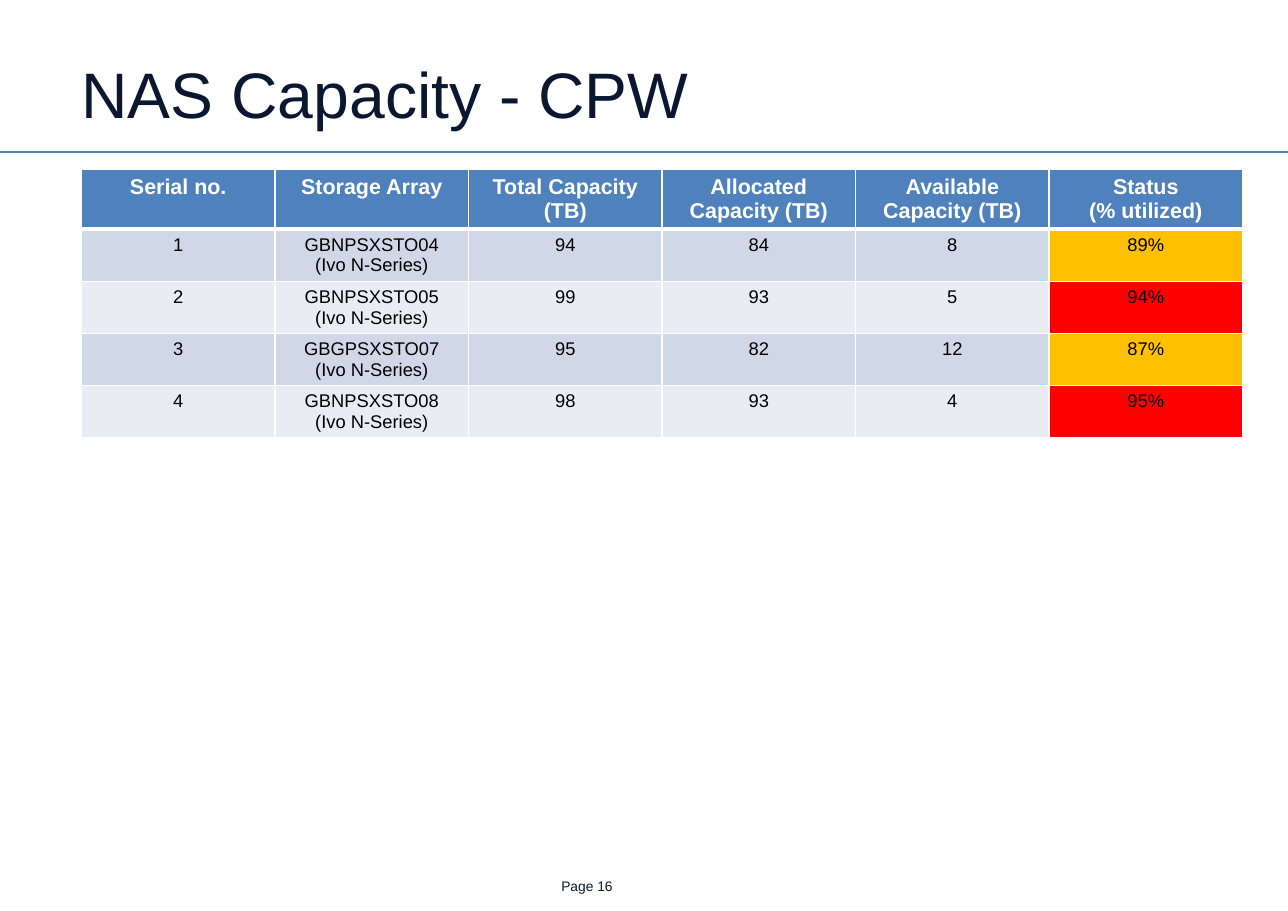
import pptx
import pptx.util
import pptx.dml.color
import pptx.enum.shapes
import pptx.enum.text
import pptx.oxml
import pptx.oxml.ns
from pptx.util import Inches

COLOURS = {
    "navy": "0A1731",
    "blue": "4F81BD",
    "white": "FFFFFF",
    "black": "000000",
    "band_dark": "D0D8E7",
    "band_light": "E9ECF3",
    "amber": "FFC000",
    "red": "FF0000",
}
FONT = "Arial"
SERIES = "(Ivo N-Series)"
RED_FROM = 90
THIN, THICK = 0.96, 3
HEADINGS = ["Serial no.", "Storage Array", "Total Capacity (TB)",
            "Allocated Capacity (TB)", "Available Capacity (TB)",
            "Status\n(% utilized)"]
ARRAYS = [
    ("GBNPSXSTO04", 94, 84, 8, 89),
    ("GBNPSXSTO05", 99, 93, 5, 94),
    ("GBGPSXSTO07", 95, 82, 12, 87),
    ("GBNPSXSTO08", 98, 93, 4, 95),
]


def rgb(name):
    return pptx.dml.color.RGBColor.from_string(COLOURS[name])


def format_text(frame, size, colour, bold=False, align=pptx.enum.text.PP_ALIGN.LEFT):
    for paragraph in frame.paragraphs:
        paragraph.alignment = align
        paragraph.font.name = FONT
        paragraph.font.size = pptx.util.Pt(size)
        paragraph.font.bold = bold
        paragraph.font.color.rgb = rgb(colour)


def set_frame(frame, anchor, right=0):
    frame.margin_left = frame.margin_top = frame.margin_bottom = 0
    frame.margin_right = Inches(right)
    frame.vertical_anchor = anchor
    frame.word_wrap = True
    frame.auto_size = pptx.enum.text.MSO_AUTO_SIZE.NONE


def add_title(slide, text):
    title = slide.shapes.title
    title.left, title.top = Inches(0.74), Inches(0.55)
    title.width, title.height = Inches(10.53), Inches(0.69)
    title.text_frame.text = text
    set_frame(title.text_frame, pptx.enum.text.MSO_ANCHOR.MIDDLE, 0.09)
    format_text(title.text_frame, 42, "navy")
    title.text_frame.paragraphs[0].line_spacing = 0.85


def add_rule(slide, y, width):
    rule = slide.shapes.add_connector(
        pptx.enum.shapes.MSO_CONNECTOR.STRAIGHT, 0, Inches(y), width, Inches(y))
    rule.line.color.rgb = rgb("blue")
    rule.line.width = pptx.util.Pt(0.75)
    rule.element.spPr.append(pptx.oxml.parse_xml(
        f"<a:effectLst {pptx.oxml.ns.nsdecls('a')}/>"))


def add_page_number(slide, text):
    page = slide.shapes.add_textbox(
        Inches(5.06), Inches(7.97), Inches(0.75), Inches(0.15))
    page.text_frame.text = text
    set_frame(page.text_frame, pptx.enum.text.MSO_ANCHOR.BOTTOM)
    format_text(page.text_frame, 9, "navy")


def set_borders(cell, top, bottom):
    properties = cell._tc.get_or_add_tcPr()
    for side, points in zip("LRTB", (THIN, THIN, top, bottom)):
        properties.append(pptx.oxml.parse_xml(
            f'<a:ln{side} {pptx.oxml.ns.nsdecls("a")} w="{pptx.util.Pt(points)}">'
            f'<a:solidFill><a:srgbClr val="{COLOURS["white"]}"/></a:solidFill>'
            f'</a:ln{side}>'))


def fill_row(table, row, texts, fills, size, colour, bold=False):
    top = THICK if row == 1 else THIN
    bottom = THICK if row == 0 else THIN
    for column, (text, fill) in enumerate(zip(texts, fills)):
        cell = table.cell(row, column)
        cell.text_frame.text = text
        format_text(cell.text_frame, size, colour, bold,
                    pptx.enum.text.PP_ALIGN.CENTER)
        set_borders(cell, top, bottom)
        cell.fill.solid()
        cell.fill.fore_color.rgb = rgb(fill)


def add_capacity_table(slide):
    table = slide.shapes.add_table(
        len(ARRAYS) + 1, len(HEADINGS), Inches(0.74), Inches(1.54),
        Inches(10.54), Inches(2.42)).table
    for row in table.rows:
        row.height = Inches(0.47)
    table.rows[0].height = Inches(0.54)
    fill_row(table, 0, HEADINGS, ["blue"] * len(HEADINGS), 14, "white", True)
    for serial, (array, total, allocated, available, used) in enumerate(ARRAYS, 1):
        band = "band_dark" if serial % 2 else "band_light"
        status = "red" if used >= RED_FROM else "amber"
        texts = [str(serial), f"{array}\n{SERIES}", str(total),
                 str(allocated), str(available), f"{used}%"]
        fill_row(table, serial, texts, [band] * 5 + [status], 12, "black")


def main():
    deck = pptx.Presentation()
    deck.slide_width, deck.slide_height = Inches(11.69), Inches(8.27)
    slide = deck.slides.add_slide(deck.slide_layouts.get_by_name("Title Only"))
    add_rule(slide, 1.38, deck.slide_width)
    add_page_number(slide, " Page 16")
    add_title(slide, "NAS Capacity - CPW")
    add_capacity_table(slide)
    deck.save("out.pptx")


main()
